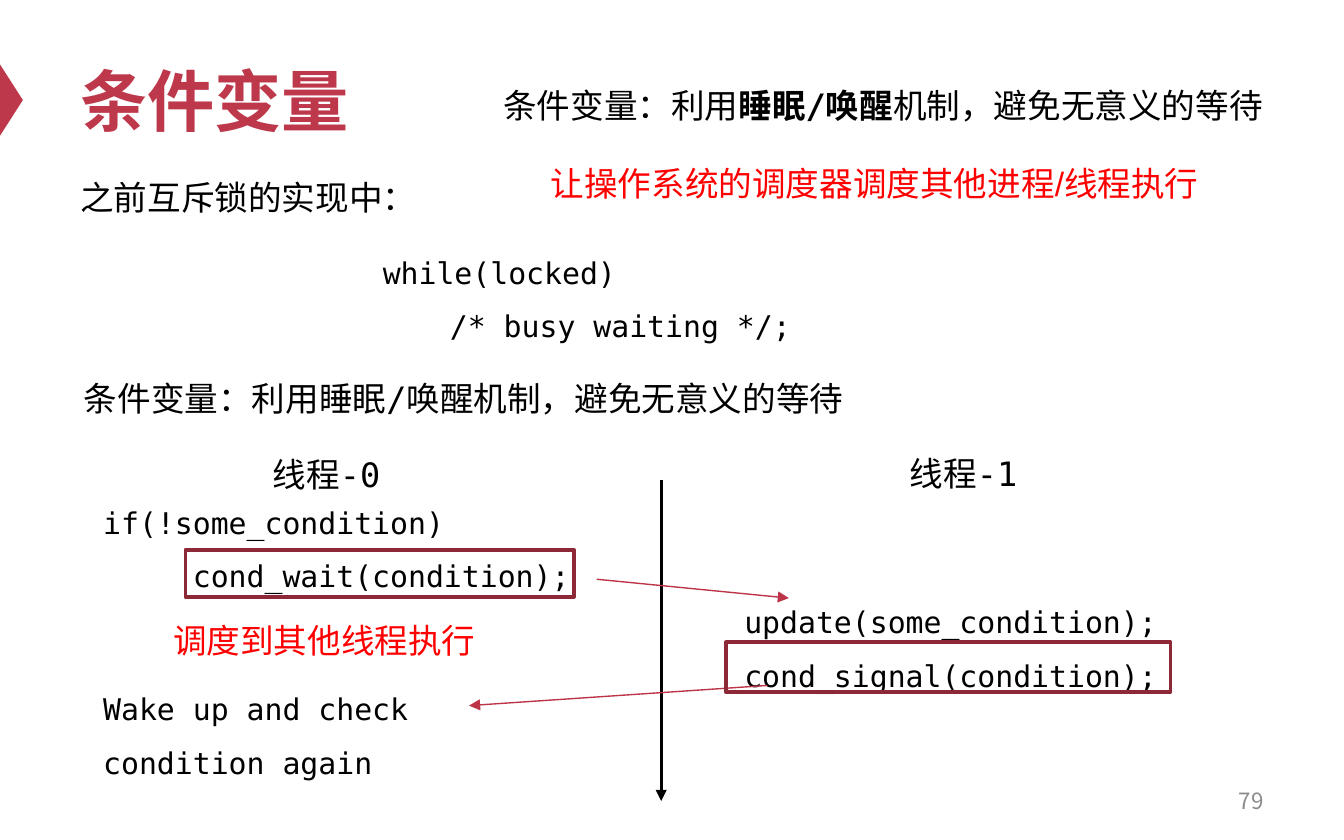
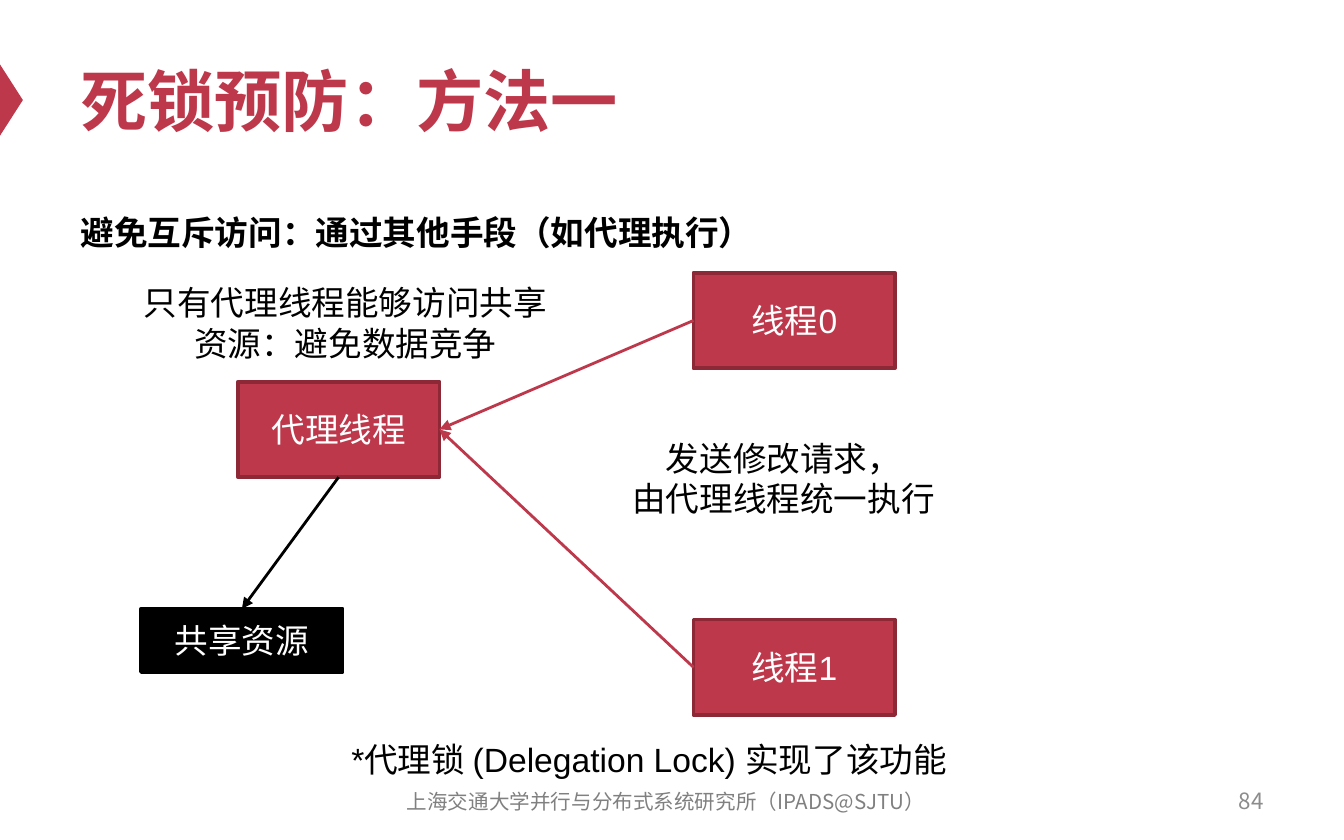
import pptx
import pptx.util
import pptx.dml.color
import pptx.enum.shapes
import pptx.enum.text
import pptx.oxml.ns
from lxml import etree

PX = 9144
SANS, MONO, CJK = "Arial", "DejaVu Sans Mono", "Noto Sans CJK SC"
COLOURS = {
    "crimson": "BE384B",
    "switch": "BD3347",
    "border": "8D2937",
    "black": "000000",
    "white": "FFFFFF",
    "red": "FF0000",
    "number": "8C8C8C",
    "footer": "808080",
}
RGB = {name: pptx.dml.color.RGBColor.from_string(value) for name, value in COLOURS.items()}
ALIGN = pptx.enum.text.PP_ALIGN
ANCHOR = pptx.enum.text.MSO_ANCHOR
SHAPE = pptx.enum.shapes.MSO_SHAPE
qn = pptx.oxml.ns.qn


def add_box(slide, place, paragraphs=(), font=SANS, size=18, colour="black", bold=False,
            align=ALIGN.LEFT, anchor=ANCHOR.TOP, spacing=None, fill=None, border=None):
    frame = [value * PX for value in place]
    if border:
        box = slide.shapes.add_shape(SHAPE.RECTANGLE, *frame)
        box.shadow.inherit = False
        box.line.color.rgb = RGB[border]
        box.line.width = pptx.util.Pt(2)
        if fill:
            box.fill.solid()
            box.fill.fore_color.rgb = RGB[fill]
        else:
            box.fill.background()
    else:
        box = slide.shapes.add_textbox(*frame)
    text_frame = box.text_frame
    text_frame.word_wrap = True
    text_frame.vertical_anchor = anchor
    for index, runs in enumerate(paragraphs):
        paragraph = text_frame.add_paragraph() if index else text_frame.paragraphs[0]
        paragraph.alignment = align
        if spacing:
            paragraph.line_spacing = spacing
        for words, strong in [(runs, bold)] if isinstance(runs, str) else runs:
            run = paragraph.add_run()
            run.text = words
            run.font.name = font
            run.font.size = pptx.util.Pt(size)
            run.font.bold = strong
            run.font.color.rgb = RGB[colour]
            latin = run.font._element.find(qn("a:latin"))
            east_asian = etree.Element(qn("a:ea"), typeface=CJK)
            latin.addnext(east_asian)
    return box


def add_arrow(slide, start, end, colour, width):
    arrow = slide.shapes.add_connector(
        pptx.enum.shapes.MSO_CONNECTOR.STRAIGHT, *[value * PX for value in start + end])
    arrow.line.color.rgb = RGB[colour]
    arrow.line.width = pptx.util.Pt(width)
    etree.SubElement(arrow.line._get_or_add_ln(), qn("a:tailEnd"), type="triangle")
    etree.SubElement(arrow._element.spPr, qn("a:effectLst"))
    return arrow


deck = pptx.Presentation()
deck.slide_width = 1000 * PX
deck.slide_height = 625 * PX

slides = []
for title, number in [("条件变量", "79"), ("死锁预防：方法一", "84")]:
    slide = deck.slides.add_slide(deck.slide_layouts[6])
    marker = slide.shapes.add_shape(SHAPE.ISOSCELES_TRIANGLE, -18 * PX, 66 * PX, 53 * PX, 17 * PX)
    marker.rotation = 90
    marker.shadow.inherit = False
    marker.fill.solid()
    marker.fill.fore_color.rgb = RGB["crimson"]
    marker.line.fill.background()
    add_box(slide, (50, 25, 900, 98), [title], size=36, colour="crimson", bold=True,
            anchor=ANCHOR.MIDDLE)
    add_box(slide, (717, 579, 233, 33), [number], font=CJK, size=12, colour="number",
            align=ALIGN.RIGHT, anchor=ANCHOR.MIDDLE)
    slides.append(slide)
condition, deadlock = slides

code_blocks = [
    ((275, 171, 450, 87), ["while(locked)", "\t/* busy waiting */;"]),
    ((67, 357, 377, 87), ["if(!some_condition)", "     cond_wait(condition);"]),
    ((544, 431, 363, 87), ["update(some_condition);", "cond_signal(condition);"]),
    ((67, 496, 354, 87), ["Wake up and check condition again"]),
]
for place, lines in code_blocks:
    add_box(condition, place, lines, font=MONO, size=16, spacing=1.5)

centred_lines = [
    ((28, 276, 634, 40), "条件变量：利用睡眠/唤醒机制，避免无意义的等待"),
    ((150, 333, 186, 40), "线程-0"),
    ((587, 332, 260, 40), "线程-1"),
    ((340, 58, 634, 40),
     [("条件变量：利用", False), ("睡眠/唤醒", True), ("机制，避免无意义的等待", False)]),
]
for place, line in centred_lines:
    add_box(condition, place, [line], font=MONO, align=ALIGN.CENTER)

add_box(condition, (50, 127, 386, 40), ["之前互斥锁的实现中："], font=MONO)
add_box(condition, (119, 456, 247, 40), ["调度到其他线程执行"], font=MONO, colour="red")
add_box(condition, (400, 116, 507, 40), ["让操作系统的调度器调度其他进程/线程执行"], colour="red")

add_arrow(condition, (492, 357), (492, 596), "black", 1.5)
add_arrow(condition, (444, 431), (587, 445), "switch", 0.75)
add_arrow(condition, (571, 510), (349, 525), "switch", 0.75)
for highlight in [(138, 409, 289, 35), (540, 478, 331, 37)]:
    add_box(condition, highlight, border="border")

add_box(deadlock, (50, 123, 715, 61), ["避免互斥访问：通过其他手段（如代理执行）"],
        bold=True, spacing=2.0)
add_box(deadlock, (279, 580, 433, 33), ["上海交通大学并行与分布式系统研究所（IPADS@SJTU）"],
        font=CJK, size=11, colour="footer", align=ALIGN.CENTER, anchor=ANCHOR.MIDDLE)

notes = [
    ((95, 205, 324, 71), ["只有代理线程能够访问共享资源：避免数据竞争"]),
    ((421, 321, 324, 71), ["发送修改请求，", "由代理线程统一执行"]),
    ((221, 545, 524, 40), ["*代理锁 (Delegation Lock) 实现了该功能"]),
]
for place, lines in notes:
    add_box(deadlock, place, lines, align=ALIGN.CENTER)

nodes = {}
for label, place, fill, border in [
    ("代理线程", (177, 284, 150, 71), "crimson", "border"),
    ("共享资源", (105, 453, 150, 47), "black", "black"),
    ("线程0", (516, 203, 150, 71), "crimson", "border"),
    ("线程1", (516, 461, 150, 71), "crimson", "border"),
]:
    nodes[label] = add_box(deadlock, place, [label], colour="white", align=ALIGN.CENTER,
                           anchor=ANCHOR.MIDDLE, fill=fill, border=border)

for source, source_side, start, target, target_side, end, colour in [
    ("代理线程", 2, (252, 355), "共享资源", 0, (180, 453), "black"),
    ("线程0", 1, (516, 239), "代理线程", 3, (327, 319), "crimson"),
    ("线程1", 1, (516, 497), "代理线程", 3, (327, 319), "crimson"),
]:
    request = add_arrow(deadlock, start, end, colour, 1.5)
    request.begin_connect(nodes[source], source_side)
    request.end_connect(nodes[target], target_side)

deck.save("out.pptx")
